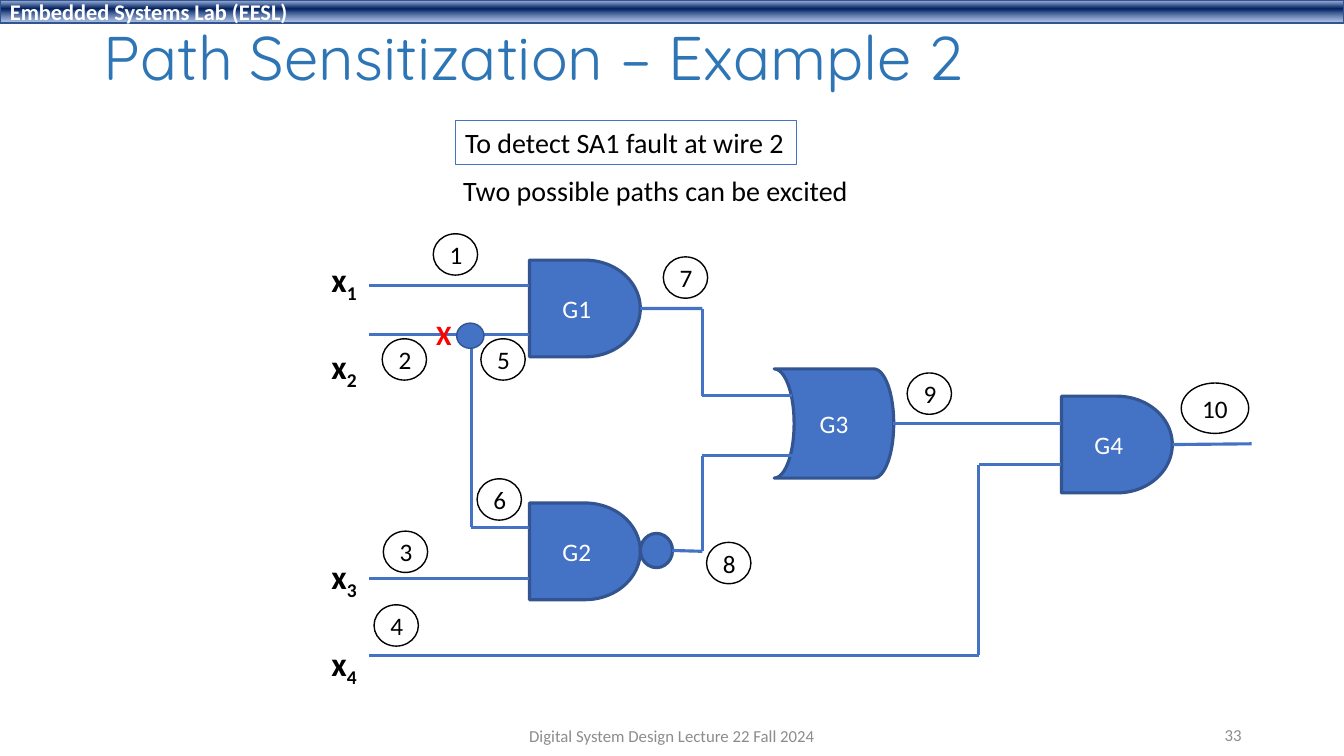
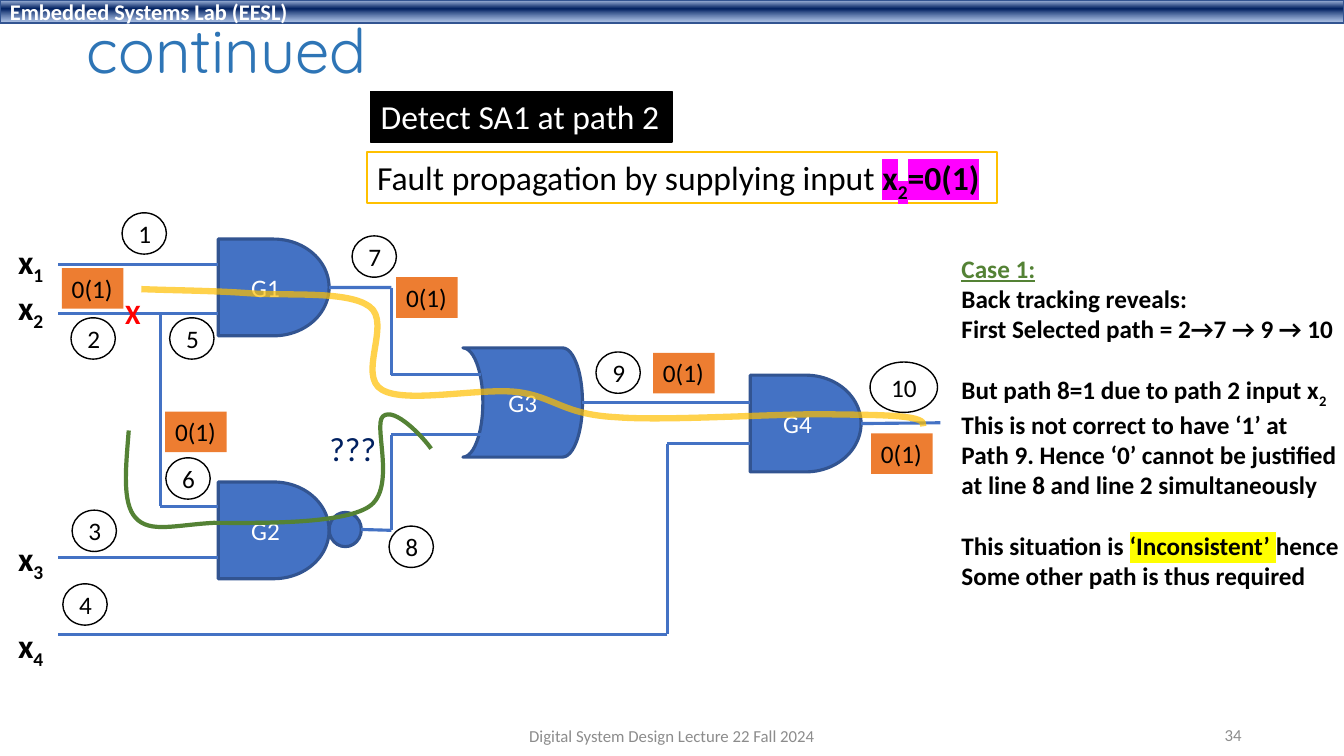
from lxml import etree
from pptx import Presentation
from pptx.dml.color import RGBColor
from pptx.enum.shapes import MSO_CONNECTOR, MSO_SHAPE
from pptx.enum.text import MSO_ANCHOR, MSO_AUTO_SIZE, PP_ALIGN
from pptx.oxml.ns import qn
from pptx.util import Pt

RECT, OVAL = MSO_SHAPE.RECTANGLE, MSO_SHAPE.OVAL
AND_GATE, OR_GATE = MSO_SHAPE.FLOWCHART_DELAY, MSO_SHAPE.FLOWCHART_STORED_DATA
STRAIGHT = MSO_CONNECTOR.STRAIGHT
TOP, MIDDLE = MSO_ANCHOR.TOP, MSO_ANCHOR.MIDDLE
LEFT, CENTER, RIGHT = PP_ALIGN.LEFT, PP_ALIGN.CENTER, PP_ALIGN.RIGHT
GROW = MSO_AUTO_SIZE.SHAPE_TO_FIT_TEXT

BLACK = RGBColor(0x00, 0x00, 0x00)
WHITE = RGBColor(0xFF, 0xFF, 0xFF)
BLUE = RGBColor(0x44, 0x72, 0xC4)
DARK_BLUE = RGBColor(0x32, 0x54, 0x91)
TITLE_BLUE = RGBColor(0x2E, 0x75, 0xB6)
NAVY = RGBColor(0x00, 0x20, 0x60)
RED = RGBColor(0xFF, 0x00, 0x00)
ORANGE = RGBColor(0xED, 0x7D, 0x31)
GOLD = RGBColor(0xFF, 0xC0, 0x00)
GREEN = RGBColor(0x54, 0x82, 0x35)
GREY = RGBColor(0x8C, 0x8C, 0x8C)
YELLOW = RGBColor(0xFF, 0xFF, 0x00)
MAGENTA = RGBColor(0xFF, 0x00, 0xFF)

BAND_STOPS = [(2, "ABC0E4", 100), (38, "002060", 100), (93, "7E9ED6", 64)]
BODY_FONT, TITLE_FONT = "Calibri", "Quicksand"
FOOTER = "Digital System Design Lecture 22 Fall 2024"


def add_box(s, kind, x, y, w, h, fill=None, line=None, width=1):
    """Add a preset shape, or a text box when kind is None."""
    if kind is None:
        return s.shapes.add_textbox(Pt(x), Pt(y), Pt(w), Pt(h))
    sp = s.shapes.add_shape(kind, Pt(x), Pt(y), Pt(w), Pt(h))
    sp.shadow.inherit = False
    if fill is None:
        sp.fill.background()
    else:
        sp.fill.solid()
        sp.fill.fore_color.rgb = fill
    if line is None:
        sp.line.fill.background()
    else:
        sp.line.color.rgb = line
        sp.line.width = Pt(width)
    return sp


def write(sp, paragraphs, size, color=BLACK, bold=False, align=LEFT,
          anchor=TOP, font=BODY_FONT):
    """Fill sp with paragraphs, each a string or a list of (text, style) runs.

    Text at the top sizes its box; text in the middle wraps inside it.
    """
    tf = sp.text_frame
    tf.word_wrap = anchor == MIDDLE
    tf.vertical_anchor = anchor
    if anchor == TOP:
        tf.auto_size = GROW
    for i, runs in enumerate(paragraphs):
        p = tf.add_paragraph() if i else tf.paragraphs[0]
        p.alignment = align
        for text, style in [(runs, {})] if isinstance(runs, str) else runs:
            r = p.add_run()
            r.text = text
            r.font.name = font
            r.font.size = Pt(size)
            r.font.bold = style.get("bold", bold)
            r.font.underline = style.get("underline")
            r.font.color.rgb = style.get("color", color)
            rpr = r._r.get_or_add_rPr()
            if style.get("sub"):
                rpr.set("baseline", "-25000")
            if "highlight" in style:
                mark = etree.Element(qn("a:highlight"))
                etree.SubElement(mark, qn("a:srgbClr"), val=str(style["highlight"]))
                rpr.find(qn("a:solidFill")).addnext(mark)
    return tf


# The circuit, in the coordinates of the first slide
GATES = [
    ("G1", AND_GATE, 378.2, 185.8, 79.2, 69.1),
    ("G2", AND_GATE, 378.2, 359.3, 79.2, 69.1),
    ("G3", OR_GATE, 553, 263.5, 85.4, 78),
    ("G4", AND_GATE, 758.2, 283, 79.2, 69.1),
]
INPUT_X = 263.5
WIRES = [  # gate whose output the wire leaves, corner points
    ("G1", [(457.4, 220.4), (501.8, 220.4), (501.8, 282.8), (566, 282.8)]),
    (None, [(480.2, 393.2), (501.8, 393.8), (501.8, 325.6), (566, 325.6)]),
    (None, [(638.2, 302.5), (758.2, 302.5)]),
    ("G4", [(837.4, 317.5), (894, 317)]),
    (None, [(758.2, 332), (699, 332), (699, 468), (INPUT_X, 468)]),
    (None, [(378.2, 413.5), (INPUT_X, 413.5)]),
    (None, [(378.2, 376.6), (336.8, 376.6)]),
    (None, [(378.2, 239.2), (INPUT_X, 239.2)]),
    (None, [(378.2, 204), (INPUT_X, 204)]),
    (None, [(336.8, 239.2), (336.8, 376.6)]),
]
WIRE_NUMBERS = [
    ("1", 309.5, 167), ("2", 273, 242), ("5", 343.5, 242), ("3", 273.8, 379.4),
    ("4", 267.2, 432), ("7", 473.8, 183.5), ("9", 648, 266.4),
    ("10", 843.8, 273.6), ("6", 340.8, 342),
]
LINE = 29.3  # height of one line of the input labels

# number, title, title box, circuit offset, place of number 8,
# place of the input labels, lines left free above each label
SLIDES = [
    (33, "Path Sensitization – Example 2", (67, 11, 828, 65), (0, 0),
     (504.7, 387.4), (229.7, 181.4), (0, 1, 4, 1)),
    (34, "continued", (55, 8.8, 828, 58.5), (-222.3, -15),
     (500.2, 390.8), (5.8, 168.5), (0, 0, 5, 1)),
]

prs = Presentation()
prs.slide_width, prs.slide_height = Pt(960), Pt(540)
slides = []

for number, title, title_box, (dx, dy), eight, labels_at, free_lines in SLIDES:
    s = prs.slides.add_slide(prs.slide_layouts[6])
    slides.append(s)

    band = add_box(s, RECT, 0, 0, 960, 16.5, BLUE, DARK_BLUE)
    band.fill.gradient()
    band.fill.gradient_angle = 270
    stops = band._element.spPr.find(".//" + qn("a:gsLst"))
    stops.clear()
    for pos, color, alpha in BAND_STOPS:
        stop = etree.SubElement(stops, qn("a:gs"), pos=str(pos * 1000))
        clr = etree.SubElement(stop, qn("a:srgbClr"), val=color)
        if alpha < 100:
            etree.SubElement(clr, qn("a:alpha"), val=str(alpha * 1000))
    write(band, ["Embedded Systems Lab (EESL)"], 16, WHITE, bold=True, anchor=MIDDLE)

    tf = write(add_box(s, None, *title_box), [title], 44, TITLE_BLUE,
               anchor=MIDDLE, font=TITLE_FONT)
    tf.paragraphs[0].line_spacing = 0.9
    write(add_box(s, None, 318, 511, 324, 29), [FOOTER], 12, GREY,
          align=CENTER, anchor=MIDDLE)
    write(add_box(s, None, 678, 510.5, 216, 29), [str(number)], 12, GREY,
          align=RIGHT, anchor=MIDDLE)

    gates = {}
    for name, kind, x, y, w, h in GATES:
        sp = add_box(s, kind, x + dx, y + dy, w, h, BLUE, DARK_BLUE, 2.25)
        if kind == OR_GATE:
            sp._element.spPr.find(qn("a:xfrm")).set("flipH", "1")
        write(sp, [name], 18, WHITE, align=CENTER, anchor=MIDDLE)
        gates[name] = sp
    add_box(s, OVAL, 457.4 + dx, 381 + dy, 23, 24.5, BLUE, DARK_BLUE, 2.25)

    for source, points in WIRES:
        for i, ((x1, y1), (x2, y2)) in enumerate(zip(points, points[1:])):
            wire = s.shapes.add_connector(STRAIGHT, Pt(x1 + dx), Pt(y1 + dy),
                                          Pt(x2 + dx), Pt(y2 + dy))
            wire.line.color.rgb = BLUE
            wire.line.width = Pt(2.25)
            etree.SubElement(wire._element.spPr, qn("a:effectLst"))
            if source and i == 0:
                wire.begin_connect(gates[source], 3)

    for text, x, y in WIRE_NUMBERS + [("8", *eight)]:
        w, h = (48.2, 36) if text == "10" else (31.7, 29.5)
        sp = add_box(s, OVAL, x + dx, y + dy, w, h, line=BLACK)
        write(sp, [text], 18, align=CENTER, anchor=MIDDLE)

    tf = write(add_box(s, None, *labels_at, 33.8, 298),
               [[("x", {}), (index, {"sub": True})] for index in "1234"], 24, bold=True)
    for p, lines in zip(tf.paragraphs, free_lines):
        p.space_before = Pt(lines * LINE)
    write(add_box(s, None, 304.5 + dx, 223.2 + dy, 26, 31.5), ["X"], 20, RED, bold=True)

first, second = slides

# First slide: the fault and the branch point
write(add_box(first, None, 323.8, 120.4, 291.6, 31.5), ["Two possible paths can be excited"], 20)
write(add_box(first, RECT, 325.2, 86.2, 244, 31.5, WHITE, BLUE),
      ["To detect SA1 fault at wire 2"], 20)
add_box(first, OVAL, 326.2, 230.8, 19.5, 18, BLUE, DARK_BLUE)

# Second slide: propagated values, the two paths and the conclusion
write(add_box(second, RECT, 264.8, 65.2, 215.3, 36.3, BLACK, BLACK),
      ["Detect SA1 at path 2"], 24, WHITE)
marked = {"bold": True, "highlight": MAGENTA}
write(add_box(second, RECT, 262.2, 108.6, 450, 36.3, WHITE, GOLD),
      [[("Fault propagation by supplying input ", {}), ("x", marked),
        ("2", {**marked, "sub": True}), ("=0(1)", marked)]], 24)

for x, y in [(44.2, 191.5), (118, 294), (283, 198), (466.5, 252), (622.2, 309.5)]:
    write(add_box(second, RECT, x, y, 44, 29, ORANGE), ["0(1)"], 18)

# colour, width, opacity in percent, start, Bézier pieces (two controls and an end)
PATHS = [
    (GOLD, 4.5, 70, (101, 206.5), [
        ((126, 207.5), (151, 207.5), (178.5, 209.5)),
        ((206, 211.5), (248.5, 207.5), (264, 219)),
        ((280, 230.5), (255, 268.5), (273, 278.5)),
        ((290, 288.5), (341.5, 277), (369.5, 280)),
        ((396.5, 283.5), (402, 296), (440, 298)),
        ((477.5, 301), (559.5, 295), (596, 296)),
        ((633, 296.5), (662.5, 296.5), (659.5, 304.5))]),
    (GREEN, 3, 100, (92, 307.5), [
        ((90, 333.5), (87, 359.5), (97, 370)),
        ((107, 381), (125.5, 375), (152.5, 373.5)),
        ((180.5, 373.5), (243.5, 375), (263.5, 362)),
        ((283.5, 349), (266.5, 304), (273.5, 297.5)),
        ((281.5, 290), (302.5, 312.5), (308, 320.5))]),
]
for color, width, opacity, start, pieces in PATHS:
    outline = second.shapes.build_freeform(Pt(start[0]), Pt(start[1]))
    outline.add_line_segments([(Pt(x), Pt(y)) for piece in pieces for x, y in piece],
                              close=False)
    sp = outline.convert_to_shape()
    # Each three line segments become one Bézier curve
    segments = sp._element.spPr.findall(".//" + qn("a:lnTo"))
    for i in range(0, len(segments), 3):
        curve = etree.Element(qn("a:cubicBezTo"))
        segments[i].addprevious(curve)
        for segment in segments[i:i + 3]:
            curve.append(segment[0])
            segment.getparent().remove(segment)
    sp.shadow.inherit = False
    sp.fill.background()
    sp.line.color.rgb = color
    sp.line.width = Pt(width)
    if opacity < 100:
        clr = sp.line._ln.find(".//" + qn("a:srgbClr"))
        etree.SubElement(clr, qn("a:alpha"), val=str(opacity * 1000))

write(add_box(second, None, 228.2, 302.2, 48, 36.3), ["???"], 24, NAVY)

tf = write(add_box(second, None, 679.7, 177.3, 286, 247), [
    [("Case 1:", {"color": GREEN, "underline": True})],
    "Back tracking reveals:",
    "First Selected path = 2→7 → 9 → 10",
    [("But path 8=1 due to path 2 input x", {}), ("2", {"sub": True})],
    "This is not correct to have ‘1’ at",
    "Path 9. Hence ‘0’ cannot be justified",
    "at line 8 and line 2 simultaneously",
    [("This situation is ", {}), ("‘Inconsistent’ ", {"highlight": YELLOW}), ("hence", {})],
    "Some other path is thus required",
], 18, bold=True)
for i in (3, 7):
    tf.paragraphs[i].space_before = Pt(22)

prs.save("out.pptx")
